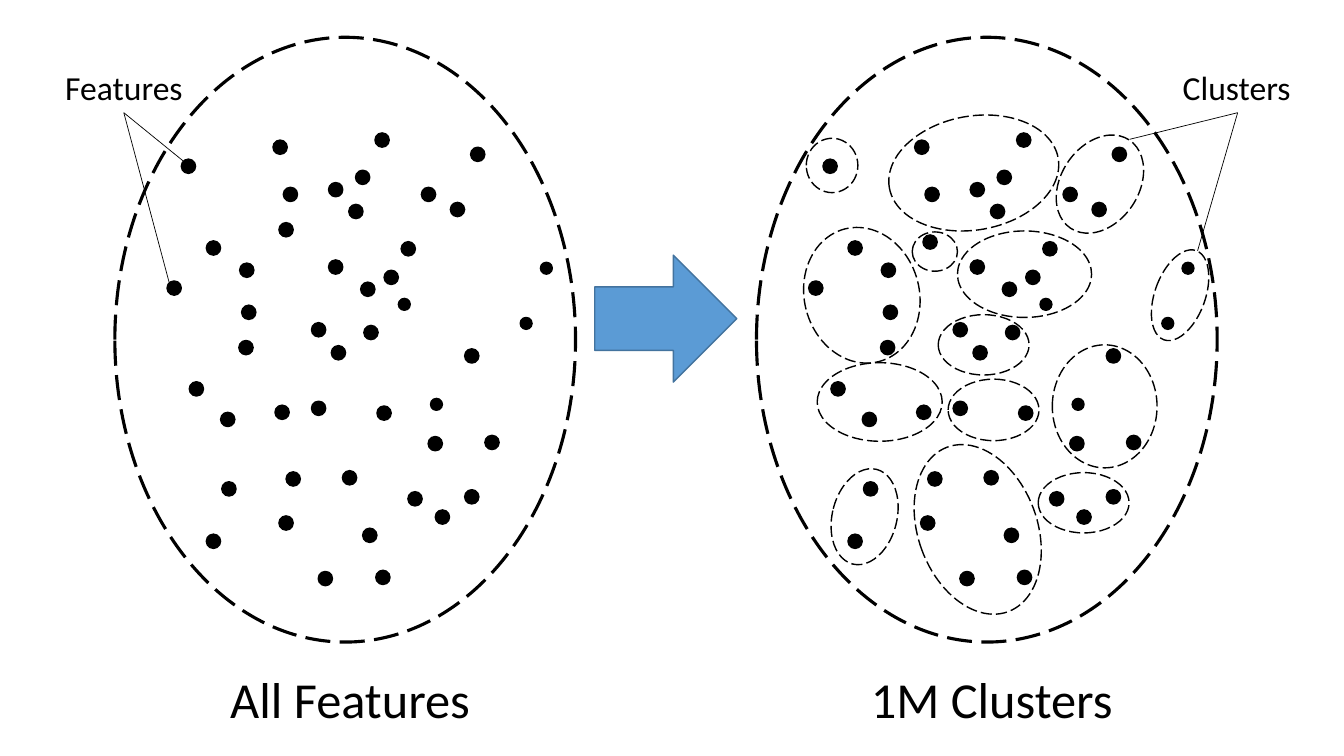
"""Draw a cloud of features beside the same cloud grouped into clusters."""
import dataclasses
import typing

import lxml.etree
import pptx
import pptx.dml.color
import pptx.dml.line
import pptx.enum.dml
import pptx.enum.shapes
import pptx.enum.text
import pptx.oxml.ns
import pptx.util

Cm = pptx.util.Cm
SHAPE = pptx.enum.shapes.MSO_SHAPE
DASH = pptx.enum.dml.MSO_LINE.LONG_DASH
BLACK = "000000"
PANEL_SHIFT = 16.17
SMALL = 0.3


@dataclasses.dataclass(frozen=True)
class Oval:
    """Ellipse given by its centre, size and rotation."""
    x: float
    y: float
    w: float
    h: float
    rot: float = 0


@dataclasses.dataclass(frozen=True)
class Dot:
    """Feature point given by its centre and diameter."""
    x: float
    y: float
    d: float = 0.36


@dataclasses.dataclass(frozen=True)
class Label:
    """Callout text with the apex and ends of its pointer lines."""
    text: str
    left: float
    width: float
    apex: tuple[float, float]
    ends: tuple[tuple[float, float], ...]


BOUNDARY = Oval(8.7, 8.56, 11.61, 15.24)
DOTS = [Dot(*row) for row in (
    (7.06, 3.71), (9.63, 3.53), (5.38, 6.25), (10.19, 7.67, SMALL),
    (6.27, 7.87), (8.46, 4.78), (7.39, 12.07), (4.95, 9.8),
    (8.81, 12.04), (10.29, 6.27), (8.46, 6.73), (13.26, 8.15, SMALL),
    (9.35, 8.38), (11.53, 5.28), (10.46, 12.57), (8.03, 10.29),
    (11.89, 12.52), (8.03, 8.31), (6.2, 8.76), (11, 10.19, SMALL),
    (7.11, 10.39), (9.27, 7.29), (8.2, 14.58), (5.77, 12.32),
    (9.65, 14.55), (10.8, 4.9), (8.97, 5.33), (13.77, 6.76, SMALL),
    (9.86, 6.99), (12.04, 3.89), (10.97, 11.18), (8.53, 8.89),
    (12.4, 11.15), (4.75, 4.19), (6.22, 6.81), (4.39, 7.26),
    (11.89, 8.97), (9.14, 4.47), (7.32, 4.9), (5.74, 10.57),
    (7.21, 13.18), (5.38, 13.64), (9.68, 10.41), (11.15, 13.03),
    (9.32, 13.49),
)]
LONE_DOTS = (Dot(7.21, 5.79), Dot(7.27, 6.1))
CAPTIONS = ("All Features", "1M Clusters")
CAPTION_IDS = (1, 3)
CLUSTERS = [Oval(*row) for row in (
    (27.31, 12.67, 2.29, 1.52), (25.82, 6.91, 3.38, 2.18),
    (21.79, 13.02, 1.63, 2.46, 14.1), (22.17, 10.13, 3.15, 1.98),
    (24.64, 13.34, 3, 4.42, 339.7), (27.84, 10.24, 2.64, 3.1),
    (24.79, 8.69, 2.29, 1.52), (25.04, 10.33, 2.29, 1.55),
    (21.72, 7.44, 2.9, 3.45, 345.7), (29.74, 7.44, 1.27, 2.39, 20),
    (20.97, 4.17, 1.3, 1.37), (24.54, 4.36, 4.32, 2.87, 350),
    (27.72, 4.64, 1.96, 2.67, 33.7), (23.56, 6.34, 1.14, 0.99),
)]
LABELS = (
    Label("Features", 1.37, 3.51, (3.12, 2.84), ((4.62, 4.06), (4.27, 7.14))),
    Label("Clusters", 29.54, 3.25, (31.19, 2.84), ((30.18, 6.32), (28.47, 3.51))),
)


def rgb(value: str) -> pptx.dml.color.RGBColor:
    """Turn a hex string into a colour."""
    return pptx.dml.color.RGBColor.from_string(value)


def apply(target: typing.Any, values: dict[str, typing.Any]) -> None:
    """Set each named attribute on the target."""
    for name, value in values.items():
        setattr(target, name, value)


def style_line(line: pptx.dml.line.LineFormat, color: str, width: float) -> None:
    """Give a line its colour and width in points."""
    line.color.rgb = rgb(color)
    line.width = pptx.util.Pt(width)


def add_filled(slide, kind, box: tuple[float, ...], fill: str | None,
               line: str = BLACK, width: float = 1):
    """Add a preset shape at left, top, width and height."""
    sp = slide.shapes.add_shape(kind, *map(Cm, box))
    sp.shadow.inherit = False
    if fill:
        sp.fill.solid()
        sp.fill.fore_color.rgb = rgb(fill)
    else:
        sp.fill.background()
    style_line(sp.line, line, width)
    return sp


def add_oval(slide, oval: Oval, width: float = 1, shift: float = 0) -> None:
    """Add a dashed ellipse around its centre."""
    box = (oval.x + shift - oval.w / 2, oval.y - oval.h / 2, oval.w, oval.h)
    sp = add_filled(slide, SHAPE.OVAL, box, None, width=width)
    sp.rotation = oval.rot
    sp.line.dash_style = DASH


def add_dot(slide, dot: Dot, shift: float) -> None:
    """Add a solid feature point."""
    box = (dot.x + shift - dot.d / 2, dot.y - dot.d / 2, dot.d, dot.d)
    add_filled(slide, SHAPE.OVAL, box, BLACK)


def add_pointer(slide, start: tuple[float, float], end: tuple[float, float]) -> None:
    """Add a thin straight line."""
    kind = pptx.enum.shapes.MSO_CONNECTOR.STRAIGHT
    sp = slide.shapes.add_connector(kind, *map(Cm, start + end))
    style_line(sp.line, BLACK, 0.5)
    lxml.etree.SubElement(sp._element.spPr, pptx.oxml.ns.qn("a:effectLst"))


def write(sp, text: str, size: int) -> None:
    """Fill a shape with one centred line of text."""
    tf = sp.text_frame
    apply(tf, {"word_wrap": False,
               "auto_size": pptx.enum.text.MSO_AUTO_SIZE.NONE,
               "vertical_anchor": pptx.enum.text.MSO_ANCHOR.TOP})
    p = tf.paragraphs[0]
    apply(p, {"alignment": pptx.enum.text.PP_ALIGN.CENTER,
              "space_before": pptx.util.Pt(0), "line_spacing": 1.0})
    r = p.add_run()
    r.text = text
    apply(r.font, {"name": "Calibri", "size": pptx.util.Pt(size), "bold": False})
    r.font.color.rgb = rgb(BLACK)


def add_panel(slide, shift: float, lone_dot: Dot, caption: str, idx: int) -> None:
    """Add a boundary with its features and its caption."""
    add_oval(slide, BOUNDARY, 2.25, shift)
    for dot in (*DOTS, lone_dot):
        add_dot(slide, dot, shift)
    sp = next(s for s in slide.placeholders if s.placeholder_format.idx == idx)
    apply(sp, {"left": Cm(5.51 + shift), "top": Cm(16.72),
               "width": Cm(6.63), "height": Cm(1.8)})
    write(sp, caption, 36)


def add_label(slide, label: Label) -> None:
    """Add a callout and its pointer lines."""
    for end in label.ends:
        add_pointer(slide, label.apex, end)
    sp = slide.shapes.add_textbox(*map(Cm, (label.left, 1.55, label.width, 1.27)))
    write(sp, label.text, 24)


def main() -> None:
    """Build the slide and save it."""
    prs = pptx.Presentation()
    apply(prs, {"slide_width": Cm(33.87), "slide_height": Cm(19.05)})
    slide = prs.slides.add_slide(prs.slide_layouts.get_by_name("Comparison"))
    for i, (dot, caption, idx) in enumerate(zip(LONE_DOTS, CAPTIONS, CAPTION_IDS)):
        add_panel(slide, i * PANEL_SHIFT, dot, caption, idx)
    for sp in list(slide.placeholders):
        if not sp.text_frame.text:
            sp._element.getparent().remove(sp._element)
    add_filled(slide, SHAPE.RIGHT_ARROW, (14.99, 6.43, 3.58, 3.2), "5B9BD5", "43739E")
    for cluster in CLUSTERS:
        add_oval(slide, cluster)
    for label in LABELS:
        add_label(slide, label)
    prs.save("out.pptx")


main()
